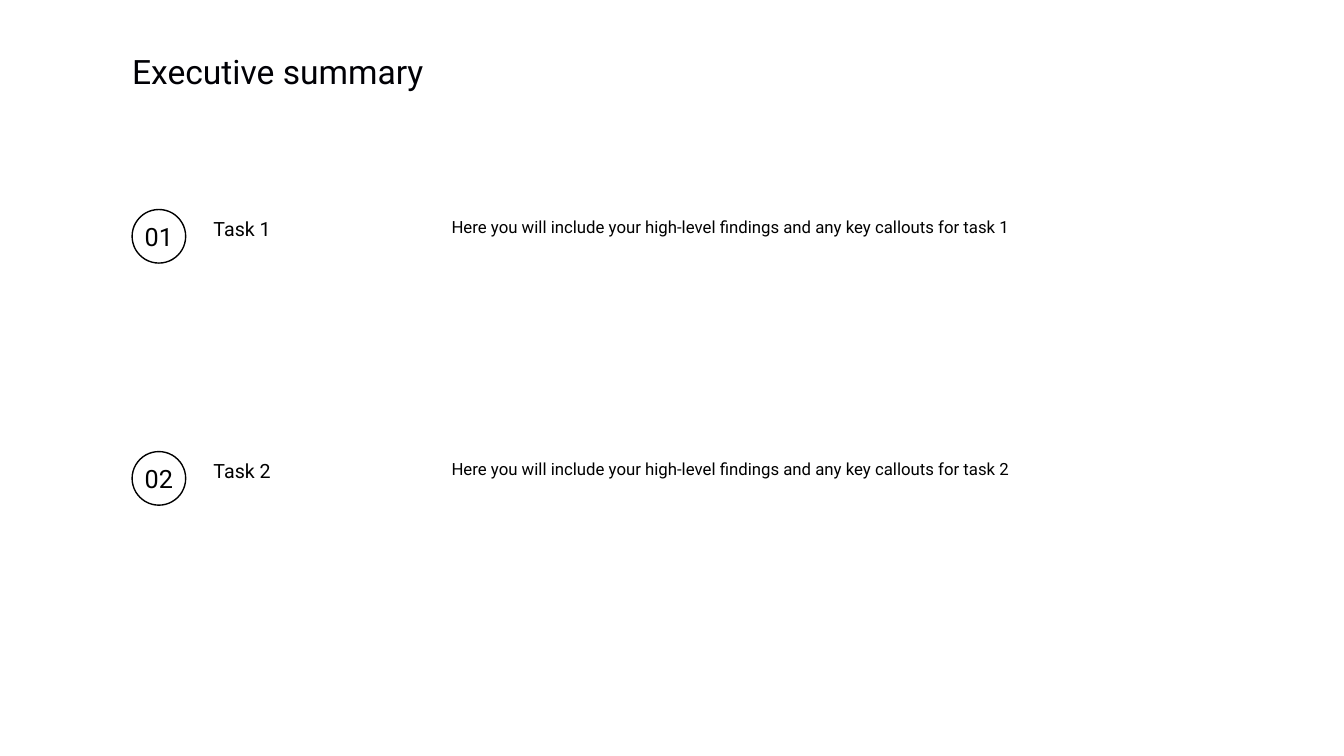
import dataclasses

import pptx
import pptx.dml.color
import pptx.enum.shapes
import pptx.enum.text
import pptx.presentation
import pptx.shapes.autoshape
import pptx.slide
import pptx.text.text
import pptx.util

FONT = "Roboto"
BLACK = "000000"
WHITE = "FFFFFF"
TITLE_COLOUR = "000005"
LEFT_MARGIN = 3.33
FIRST_TASK_TOP = 5.28
TASK_PITCH = 6.1
CIRCLE_SIZE = 1.35
TEXT_DROP = 0.18
TEXT_HEIGHT = 4.78


@dataclasses.dataclass(frozen=True)
class Task:
    """A numbered task with its name and findings."""

    number: str
    name: str
    findings: str


@dataclasses.dataclass(frozen=True)
class Column:
    """A text column shared by all tasks, measured in centimetres."""

    left: float
    width: float
    size: int


NAME_COLUMN = Column(5.38, 5.26, 14)
FINDINGS_COLUMN = Column(11.38, 21.06, 12)

TASKS = [
    Task(
        f"{number:02}",
        f"Task {number}",
        f"Here you will include your high-level findings and any key callouts for task {number}",
    )
    for number in (1, 2)
]


def colour(value: str) -> pptx.dml.color.RGBColor:
    """Return the colour for a hex string."""
    return pptx.dml.color.RGBColor.from_string(value)


def write_text(
    frame: pptx.text.text.TextFrame,
    text: str,
    size: int,
    alignment: pptx.enum.text.PP_ALIGN = pptx.enum.text.PP_ALIGN.LEFT,
    text_colour: str = BLACK,
) -> None:
    """Fill a text frame with one formatted paragraph."""
    frame.text = text
    paragraph = frame.paragraphs[0]
    paragraph.alignment = alignment
    paragraph.font.name = FONT
    paragraph.font.size = pptx.util.Pt(size)
    paragraph.font.color.rgb = colour(text_colour)


def set_margins(
    frame: pptx.text.text.TextFrame, right: float = 0, bottom: float = 0
) -> None:
    """Set the inner margins in centimetres, with none at the left and top."""
    frame.margin_left = frame.margin_top = pptx.util.Cm(0)
    frame.margin_right = pptx.util.Cm(right)
    frame.margin_bottom = pptx.util.Cm(bottom)


def format_title(title: pptx.shapes.autoshape.Shape) -> None:
    """Place and format the slide title."""
    title.left, title.top = pptx.util.Cm(LEFT_MARGIN), pptx.util.Cm(1.27)
    title.width, title.height = pptx.util.Cm(29.11), pptx.util.Cm(2.29)
    frame = title.text_frame
    set_margins(frame, right=0.25, bottom=0.13)
    frame.auto_size = pptx.enum.text.MSO_AUTO_SIZE.NONE
    frame.vertical_anchor = pptx.enum.text.MSO_ANCHOR.TOP
    write_text(frame, "Executive summary", 24, text_colour=TITLE_COLOUR)
    frame.paragraphs[0].space_before = pptx.util.Pt(10)


def add_number(slide: pptx.slide.Slide, number: str, top: float) -> None:
    """Draw a task number in an outlined circle."""
    circle = slide.shapes.add_shape(
        pptx.enum.shapes.MSO_SHAPE.OVAL,
        pptx.util.Cm(LEFT_MARGIN),
        pptx.util.Cm(top),
        pptx.util.Cm(CIRCLE_SIZE),
        pptx.util.Cm(CIRCLE_SIZE),
    )
    circle.shadow.inherit = False
    circle.fill.solid()
    circle.fill.fore_color.rgb = colour(WHITE)
    circle.line.color.rgb = colour(BLACK)
    circle.line.width = pptx.util.Pt(1)
    frame = circle.text_frame
    frame.word_wrap = False
    frame.vertical_anchor = pptx.enum.text.MSO_ANCHOR.MIDDLE
    write_text(frame, number, 18, pptx.enum.text.PP_ALIGN.CENTER)


def add_column_text(
    slide: pptx.slide.Slide, column: Column, text: str, top: float
) -> None:
    """Add a text box in the given column."""
    box = slide.shapes.add_textbox(
        pptx.util.Cm(column.left),
        pptx.util.Cm(top),
        pptx.util.Cm(column.width),
        pptx.util.Cm(TEXT_HEIGHT),
    )
    box.text_frame.word_wrap = True
    set_margins(box.text_frame)
    write_text(box.text_frame, text, column.size)


def add_task(slide: pptx.slide.Slide, task: Task, top: float) -> None:
    """Draw one task row."""
    add_number(slide, task.number, top)
    add_column_text(slide, NAME_COLUMN, task.name, top + TEXT_DROP)
    add_column_text(slide, FINDINGS_COLUMN, task.findings, top + TEXT_DROP)


def build_presentation() -> pptx.presentation.Presentation:
    """Build the executive summary slide."""
    presentation = pptx.Presentation()
    presentation.slide_width = pptx.util.Cm(33.87)
    presentation.slide_height = pptx.util.Cm(19.05)
    slide = presentation.slides.add_slide(presentation.slide_layouts[5])
    format_title(slide.shapes.title)
    for index, task in enumerate(TASKS):
        add_task(slide, task, FIRST_TASK_TOP + index * TASK_PITCH)
    return presentation


build_presentation().save("out.pptx")
